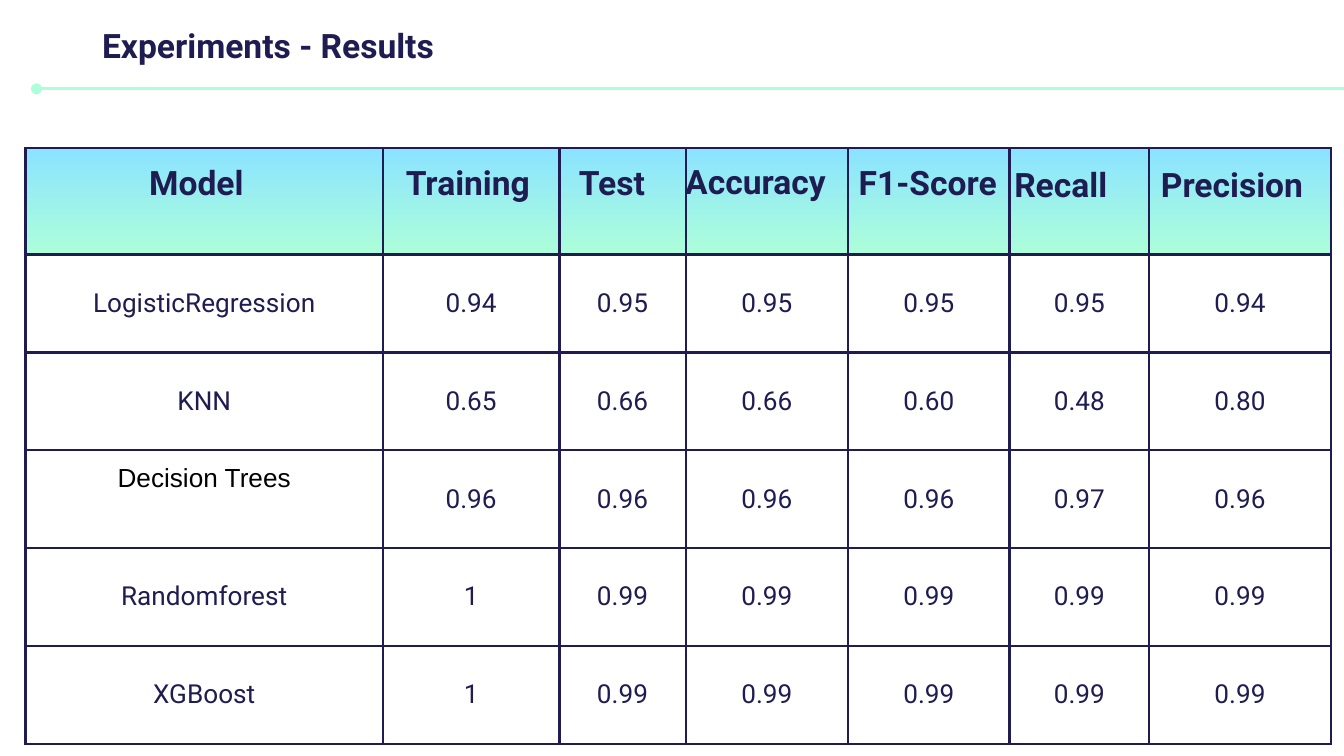
from lxml import etree
from pptx import Presentation
from pptx.dml.color import RGBColor
from pptx.enum.shapes import MSO_CONNECTOR
from pptx.enum.text import MSO_ANCHOR, PP_ALIGN
from pptx.oxml import parse_xml
from pptx.oxml.ns import nsdecls, qn
from pptx.util import Cm, Pt

STRAIGHT = MSO_CONNECTOR.STRAIGHT
TOP, MIDDLE = MSO_ANCHOR.TOP, MSO_ANCHOR.MIDDLE
CENTER = PP_ALIGN.CENTER
NAVY, MINT, SKY, WHITE, BLACK = "1F1C51", "ACFFD9", "8BE3FF", "FFFFFF", "000000"
INSET = Cm(0.25)


def rgb(value):
    return RGBColor.from_string(value)


def style(paragraph, size, color=NAVY, font="Roboto", bold=False):
    for run in paragraph.runs:
        run.font.size = Pt(size)
        run.font.name = font
        run.font.bold = bold
        run.font.color.rgb = rgb(color)


deck = Presentation()
deck.slide_width, deck.slide_height = Cm(25.4), Cm(14.29)
slide = deck.slides.add_slide(deck.slide_layouts[6])

title_rule = slide.shapes.add_connector(STRAIGHT, Cm(0.69), Cm(1.68), Cm(25.65), Cm(1.68))
title_rule.line.color.rgb = rgb(MINT)
title_rule.line.width = Pt(1.5)
etree.SubElement(title_rule.line._get_or_add_ln(), qn("a:headEnd"), type="oval")
etree.SubElement(title_rule._element.spPr, qn("a:effectLst"))

scores = [
    ["LogisticRegression", "0.94", "0.95", "0.95", "0.95", "0.95", "0.94"],
    ["KNN", "0.65", "0.66", "0.66", "0.60", "0.48", "0.80"],
    ["Decision Trees", "0.96", "0.96", "0.96", "0.96", "0.97", "0.96"],
    ["Randomforest", "1", "0.99", "0.99", "0.99", "0.99", "0.99"],
    ["XGBoost", "1", "0.99", "0.99", "0.99", "0.99", "0.99"],
]
column_widths = [6.76, 3.33, 2.39, 3.07, 3.05, 2.64, 3.43]
row_heights = [2.01] + [1.85] * len(scores)

results = slide.shapes.add_table(
    len(row_heights), len(column_widths), Cm(0.48), Cm(2.8),
    Cm(sum(column_widths)), Cm(sum(row_heights))
).table
results.first_row = False
results.horz_banding = False
for column, width in zip(results.columns, column_widths):
    column.width = Cm(width)
for row, height in zip(results.rows, row_heights):
    row.height = Cm(height)

for cell in results.iter_cells():
    cell.margin_left = cell.margin_right = cell.margin_top = cell.margin_bottom = INSET
    for side in ("lnL", "lnR", "lnT", "lnB"):
        cell._tc.get_or_add_tcPr().append(parse_xml(
            f'<a:{side} {nsdecls("a")} w="{Pt(1.5)}"><a:solidFill>'
            f'<a:srgbClr val="{NAVY}"/></a:solidFill></a:{side}>'
        ))

for column in range(len(column_widths)):
    header_fill = results.cell(0, column).fill
    header_fill.gradient()
    header_fill.gradient_angle = 270
    for stop, color in zip(header_fill.gradient_stops, (SKY, MINT)):
        stop.color.rgb = rgb(color)

for row, values in enumerate(scores, start=1):
    for column, value in enumerate(values):
        cell = results.cell(row, column)
        cell.fill.solid()
        cell.fill.fore_color.rgb = rgb(WHITE)
        cell.vertical_anchor = MIDDLE
        cell.text_frame.text = value
        paragraph = cell.text_frame.paragraphs[0]
        paragraph.alignment = CENTER
        style(paragraph, 14)

decision_trees = results.cell(3, 0)
decision_trees.vertical_anchor = TOP
style(decision_trees.text_frame.paragraphs[0], 14, BLACK, "Arial")

headings = [
    ("Experiments - Results", 1.68, 0.23, 8.15),
    ("Model", 2.57, 2.82, 4.55),
    ("Training", 7.42, 2.82, 2.97),
    ("Test", 10.69, 2.82, 2.08),
    ("Accuracy", 12.7, 2.8, 3.51),
    ("F1-Score", 15.98, 2.82, 3.25),
    ("Recall", 18.92, 2.84, 3.25),
    ("Precision", 21.69, 2.84, 3.58),
]
for label, left, top, width in headings:
    frame = slide.shapes.add_textbox(Cm(left), Cm(top), Cm(width), Cm(2.01)).text_frame
    frame.word_wrap = True
    frame.margin_left = frame.margin_right = frame.margin_top = frame.margin_bottom = INSET
    frame.text = label
    heading = frame.paragraphs[0]
    heading.space_before = heading.space_after = Pt(16)
    style(heading, 18, bold=True)

deck.save("out.pptx")
